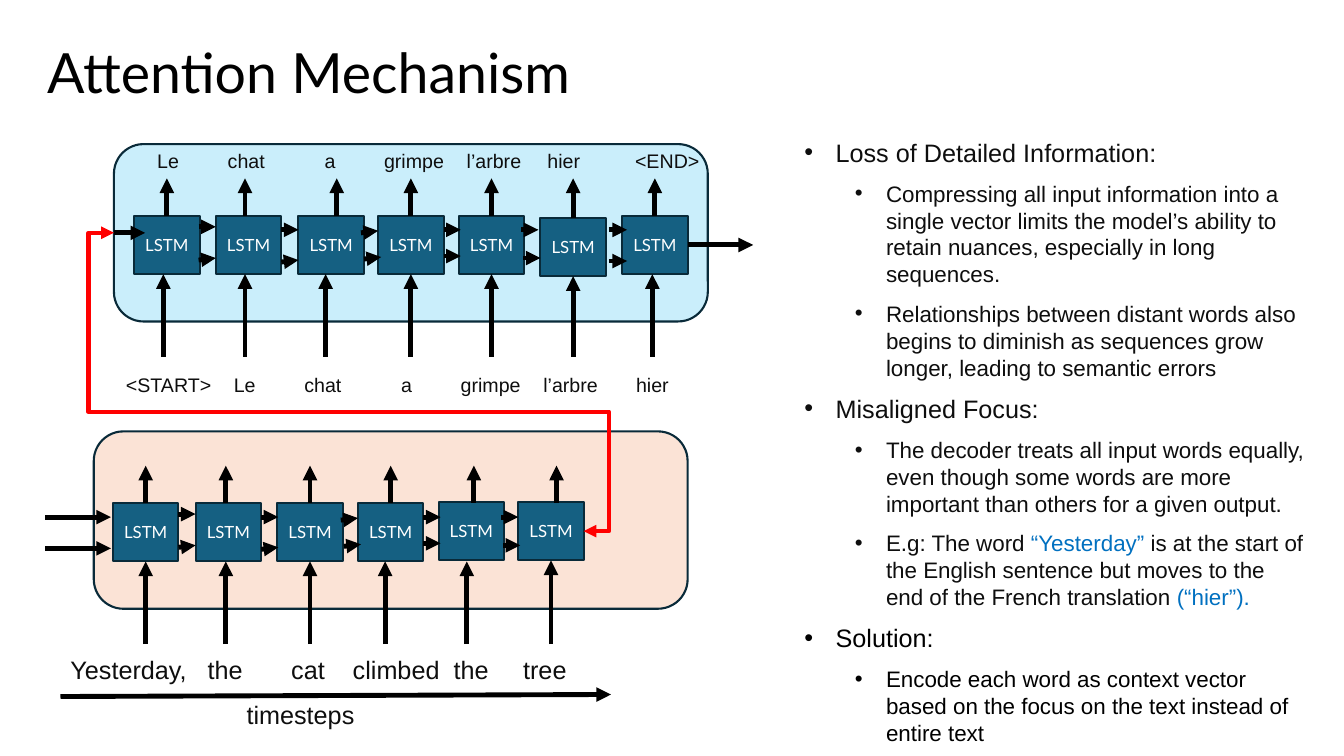
import pptx
import pptx.dml.color
import pptx.enum.shapes
import pptx.enum.text
import pptx.oxml
import pptx.oxml.ns
import pptx.util
from lxml import etree

Inches, Pt = pptx.util.Inches, pptx.util.Pt
RGBColor = pptx.dml.color.RGBColor
SHAPE = pptx.enum.shapes.MSO_SHAPE
CONNECTOR = pptx.enum.shapes.MSO_CONNECTOR
ANCHOR = pptx.enum.text.MSO_ANCHOR
ALIGN = pptx.enum.text.PP_ALIGN
qn = pptx.oxml.ns.qn

BLACK = RGBColor(0x00, 0x00, 0x00)
INK = RGBColor(0x0E, 0x0E, 0x0E)
WHITE = RGBColor(0xFF, 0xFF, 0xFF)
RED = RGBColor(0xFF, 0x00, 0x00)
QUOTE_BLUE = RGBColor(0x00, 0x70, 0xC0)
TEAL = RGBColor(0x15, 0x60, 0x82)
NAVY = RGBColor(0x09, 0x2A, 0x39)
PEACH = RGBColor(0xFB, 0xE3, 0xD6)
SKY = RGBColor(0xCA, 0xEE, 0xFB)

TOP, LEFT, BOTTOM, RIGHT = range(4)
PANEL_W, PANEL_H = 5.89, 1.76
CELL_W, CELL_H = 0.65, 0.58
INSET = 0.1

# Arrows between neighbouring cells, measured from the panel corner
LINKS = [
    (0.84, 0.82, 1.01, 0.82), (0.84, 1.15, 1.01, 1.13),
    (1.66, 0.85, 1.83, 0.85), (1.66, 1.17, 1.83, 1.15),
    (2.45, 0.88, 2.62, 0.86), (2.48, 1.14, 2.65, 1.12),
    (3.27, 0.85, 3.44, 0.85), (3.27, 1.11, 3.44, 1.11),
    (4.04, 0.85, 4.21, 0.85), (4.06, 1.13, 4.23, 1.13),
]

ENCODER_CELLS = [(1.12, 4.99), (1.94, 4.99), (2.75, 4.99), (3.55, 4.99), (4.35, 4.98), (5.14, 4.98)]
ENCODER_INPUTS = [1.44, 2.24, 3.06, 3.82, 4.63, 5.47]
ENCODER_OUTPUTS = [1.45, 2.24, 3.06, 3.89, 4.7, 5.52]
DECODER_CELLS = [(1.33, 2.14), (2.14, 2.14), (2.96, 2.14), (3.75, 2.14), (4.55, 2.14),
                 (5.36, 2.16), (6.17, 2.14)]
DECODER_INPUTS = [1.62, 2.43, 3.23, 4.06, 4.87, 5.67, 6.47]
DECODER_OUTPUTS = [1.67, 2.43, 3.34, 4.06, 4.87, 5.67, 6.49]

ENGLISH = [("Yesterday,", 0.7), ("the", 2.06), ("cat", 2.89), ("climbed", 3.5), ("the", 4.5), ("tree", 5.19)]
FRENCH_IN = [("<START>", 1.25), ("Le", 2.32), ("chat", 3.02), ("a", 3.98), ("grimpe", 4.57),
             ("l’arbre", 5.39), ("hier", 6.31)]
FRENCH_OUT = [("Le", 1.56), ("chat", 2.26), ("a", 3.22), ("grimpe", 3.81), ("l’arbre", 4.63),
              ("hier", 5.43), ("<END>", 6.3)]

# (level, colour, runs)
POINTS = [
    (0, INK, ["Loss of Detailed Information:"]),
    (1, INK, ["Compressing all input information into a single vector limits the model’s "
              "ability to retain nuances, especially in long sequences."]),
    (1, INK, ["Relationships between distant words also begins to diminish as sequences "
              "grow longer, leading to semantic errors"]),
    (0, INK, ["Misaligned Focus:"]),
    (1, INK, ["The decoder treats all input words equally, even though some words are more "
              "important than others for a given output."]),
    (1, INK, ["E.g: The word ", "“Yesterday” ",
              "is at the start of the English sentence but moves to the end of the French translation ",
              "(“hier”)."]),
    (0, BLACK, ["Solution:"]),
    (1, BLACK, ["Encode each word as context vector based on the focus on the text instead of entire text"]),
]


class AttentionSlide:
    def __init__(self, slide):
        self.shapes = slide.shapes

    def font(self, paragraph, size, color, name="Arial"):
        paragraph.font.size, paragraph.font.name = Pt(size), name
        paragraph.font.color.rgb = color

    def frame(self, x, y, w, h):
        frame = self.shapes.add_textbox(Inches(x), Inches(y), Inches(w), Inches(h)).text_frame
        frame.word_wrap = True
        return frame

    def line_of_text(self, box, text, size, color, name="Arial", align=ALIGN.LEFT, spacing=1.0):
        frame = self.frame(*box)
        frame.vertical_anchor = ANCHOR.MIDDLE
        paragraph = frame.paragraphs[0]
        paragraph.text, paragraph.alignment = text, align
        paragraph.line_spacing = spacing
        self.font(paragraph, size, color, name)

    def word_row(self, x, y, w, words, size):
        """One line of words, each starting at its own tab stop."""
        paragraph = self.frame(x, y, w, 0.4).paragraphs[0]
        paragraph.text = "".join("\t" + word for word, _ in words)
        tabs = etree.SubElement(paragraph._p.get_or_add_pPr(), qn("a:tabLst"))
        for _, start in words:
            etree.SubElement(tabs, qn("a:tab"), pos=str(Inches(start - x - INSET)), algn="l")
        self.font(paragraph, size, INK)

    def bullets(self, box, points):
        frame = self.frame(*box)
        for i, (level, color, runs) in enumerate(points):
            paragraph = frame.add_paragraph() if i else frame.paragraphs[0]
            paragraph.level = level
            if i:
                paragraph.space_before = Pt(9)
            properties = paragraph._p.get_or_add_pPr()
            properties.set("marL", str(Inches(0.31 + 0.5 * level)))
            properties.set("indent", str(Inches(-0.31)))
            etree.SubElement(properties, qn("a:buFont"), typeface="Arial")
            etree.SubElement(properties, qn("a:buChar"), char="•")
            self.font(paragraph, 16 if level else 18, color)
            for text in runs:
                run = paragraph.add_run()
                run.text = text
                if "“" in text:
                    run.font.color.rgb = QUOTE_BLUE

    def box(self, kind, x, y, w, h, fill):
        shape = self.shapes.add_shape(kind, Inches(x), Inches(y), Inches(w), Inches(h))
        shape.shadow.inherit = False
        shape.fill.solid()
        shape.fill.fore_color.rgb = fill
        shape.line.color.rgb, shape.line.width = NAVY, Pt(1.5)
        return shape

    def cell(self, x, y):
        shape = self.box(SHAPE.RECTANGLE, x, y, CELL_W, CELL_H, TEAL)
        frame = shape.text_frame
        frame.margin_left = frame.margin_right = 0
        frame.vertical_anchor = ANCHOR.MIDDLE
        paragraph = frame.paragraphs[0]
        paragraph.text, paragraph.alignment = "LSTM", ALIGN.CENTER
        self.font(paragraph, 12, WHITE, "Lato")
        return shape

    def arrow(self, x1, y1, x2, y2, kind=CONNECTOR.STRAIGHT, color=BLACK, width=3.5, ends=("tailEnd",)):
        line = self.shapes.add_connector(kind, Inches(x1), Inches(y1), Inches(x2), Inches(y2))
        line.line.color.rgb, line.line.width = color, Pt(width)
        properties = line._element.spPr
        for end in ends:
            etree.SubElement(properties.find(qn("a:ln")), qn("a:" + end), type="triangle")
        etree.SubElement(properties, qn("a:effectLst"))
        return line

    def feedback(self, x1, y1, x2, y2):
        """Red five-part elbow from the encoder's last cell to the decoder."""
        line = self.arrow(x1, y1, x2, y2, CONNECTOR.ELBOW, RED, 3, ("headEnd", "tailEnd"))
        geometry = line._element.spPr.find(qn("a:prstGeom"))
        geometry.set("prst", "bentConnector5")
        adjustments = geometry.find(qn("a:avLst"))
        for i, value in enumerate((-5400, 40000, 105400), 1):
            etree.SubElement(adjustments, qn("a:gd"), name=f"adj{i}", fmla=f"val {value}")

    def network(self, x, y, fill, corners, inputs, outputs):
        """Panel with a chain of cells and their arrows; returns panel and cells."""
        panel = self.box(SHAPE.ROUNDED_RECTANGLE, x, y, PANEL_W, PANEL_H, fill)
        cells = [self.cell(*corner) for corner in corners]
        for x1, y1, x2, y2 in LINKS:
            self.arrow(x + x1, y + y1, x + x2, y + y2)
        for cell, (left, _), enter, leave in zip(cells, corners, inputs, outputs):
            middle = left + CELL_W / 2
            enter_joins, leave_joins = (abs(at - middle) < 0.02 for at in (enter, leave))
            enter = middle if enter_joins else enter
            leave = middle if leave_joins else leave
            upward = self.arrow(enter, y + 2.11, enter, y + 1.29)
            outward = self.arrow(leave, y + 0.71, leave, y + 0.34)
            if enter_joins:
                upward.end_connect(cell, BOTTOM)
            if leave_joins:
                outward.begin_connect(cell, TOP)
        return panel, cells


def main():
    deck = pptx.Presentation()
    deck.slide_width, deck.slide_height = Inches(13.33), Inches(7.5)
    page = AttentionSlide(deck.slides.add_slide(deck.slide_layouts[6]))

    page.line_of_text((0.37, 0.38, 11.5, 0.73), "Attention Mechanism", 39.6, BLACK, "Lato", spacing=0.9)
    page.bullets((7.88, 1.31, 5.17, 6.17), POINTS)

    page.network(0.93, 4.28, PEACH, ENCODER_CELLS, ENCODER_INPUTS, ENCODER_OUTPUTS)
    for y in (5.13, 5.44):
        page.arrow(0.45, y, 1.1, y)
    page.word_row(0.39, 6.44, 5.72, ENGLISH, 18)
    page.arrow(0.6, 6.91, 6.06, 6.89)
    page.line_of_text((0.12, 6.89, 5.72, 0.4), "timesteps", 18, INK, align=ALIGN.CENTER)

    decoder, cells = page.network(1.13, 1.43, SKY, DECODER_CELLS, DECODER_INPUTS, DECODER_OUTPUTS)
    for y in (2.28, 2.59):
        page.arrow(6.04, y, 6.22, y)
    page.arrow(6.82, 2.43, 7.47, 2.43).begin_connect(cells[-1], RIGHT)
    page.word_row(0.6, 3.65, 6.45, FRENCH_IN, 14)
    page.word_row(0.69, 1.43, 6.45, FRENCH_OUT, 14)
    page.feedback(5.79, 5.27, 1.13, 2.31)
    page.arrow(1.13, 2.31, 1.44, 2.31).begin_connect(decoder, LEFT)

    deck.save("out.pptx")


if __name__ == "__main__":
    main()
